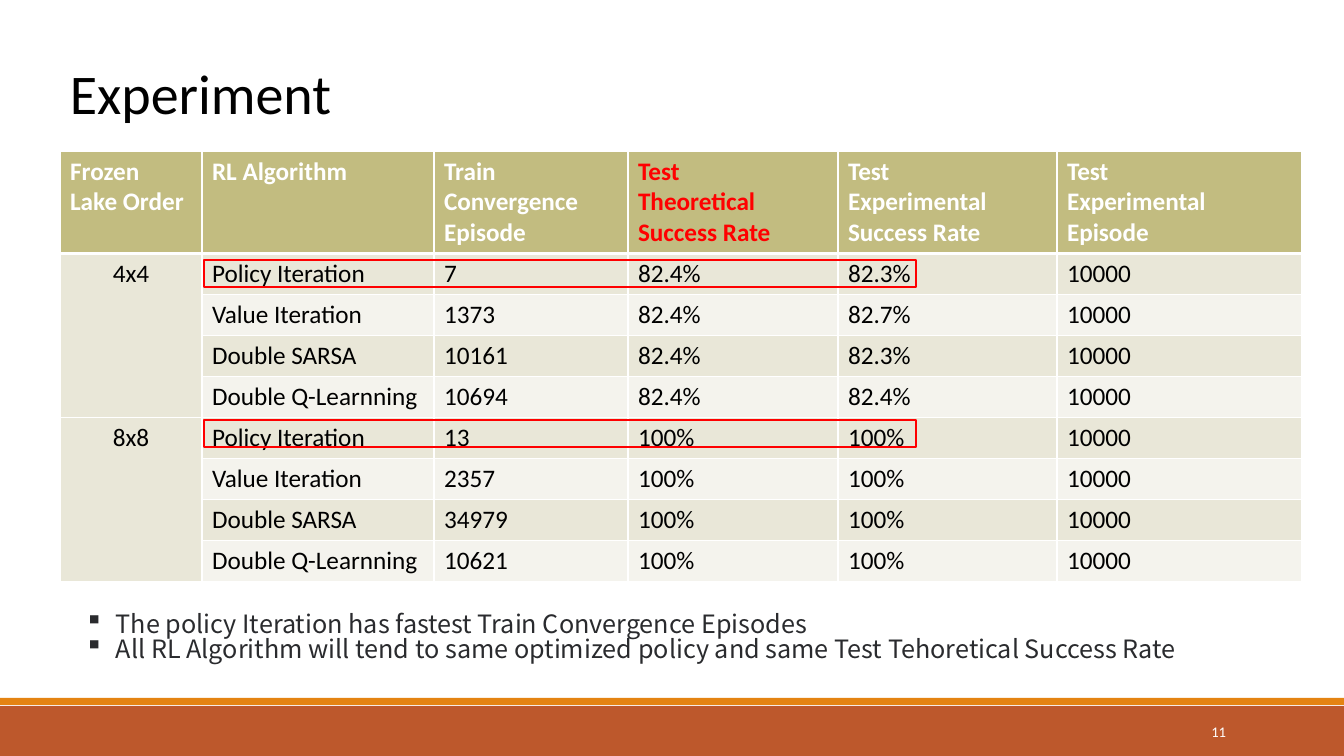
from dataclasses import dataclass

from lxml import etree
from pptx import Presentation
from pptx.dml.color import RGBColor
from pptx.enum.shapes import MSO_SHAPE
from pptx.enum.text import MSO_ANCHOR, PP_ALIGN
from pptx.oxml.ns import qn
from pptx.util import Emu, Pt

RECT = MSO_SHAPE.RECTANGLE
LEFT, CENTER, RIGHT = PP_ALIGN.LEFT, PP_ALIGN.CENTER, PP_ALIGN.RIGHT
TOP, MIDDLE = MSO_ANCHOR.TOP, MSO_ANCHOR.MIDDLE
EMU_PER_PX = 914400 / 100.8


def px(n):
    return Emu(round(n * EMU_PER_PX))


@dataclass(frozen=True)
class Theme:
    font: str = "Calibri"
    note_font: str = "Noto Sans CJK SC"
    title_size: float = 40
    body_size: float = 18
    number_size: float = 10.5
    black: str = "000000"
    white: str = "FFFFFF"
    note: str = "2A2B2E"
    red: str = "FF0000"
    footer: str = "BD582C"
    footer_edge: str = "E48312"
    header: str = "C2BC80"
    bands: tuple = ("E9E7D8", "F4F3ED")


class SlideBuilder:
    def __init__(self, slide, theme):
        self.shapes = slide.shapes
        self.theme = theme

    def add_lines(self, tf, lines, size, color, font=None, bold=False,
                  align=LEFT, bullet=None, spacing=None):
        """Fill a text frame with one paragraph per line."""
        for i, line in enumerate(lines):
            p = tf.paragraphs[0] if i == 0 else tf.add_paragraph()
            p.alignment = align
            if spacing:
                p.line_spacing = spacing
            if bullet:
                pPr = p._p.get_or_add_pPr()
                pPr.set("marL", str(px(31)))
                pPr.set("indent", str(-px(31)))
                etree.SubElement(pPr, qn("a:buChar"), char=bullet)
            r = p.add_run()
            r.text = line
            r.font.name = font or self.theme.font
            r.font.size = Pt(size)
            r.font.bold = bold
            r.font.color.rgb = RGBColor.from_string(color)

    def text(self, x, y, w, h, lines, size, color, anchor=TOP, **style):
        tf = self.shapes.add_textbox(px(x), px(y), px(w), px(h)).text_frame
        tf.word_wrap = True
        tf.vertical_anchor = anchor
        self.add_lines(tf, lines, size, color, **style)

    def rect(self, x, y, w, h, fill=None, line=None):
        sp = self.shapes.add_shape(RECT, px(x), px(y), px(w), px(h))
        sp.shadow.inherit = False
        if fill:
            sp.fill.solid()
            sp.fill.fore_color.rgb = RGBColor.from_string(fill)
        else:
            sp.fill.background()
        if line:
            sp.line.color.rgb = RGBColor.from_string(line)
            sp.line.width = Pt(1.25)
        else:
            sp.line.fill.background()

    def border(self, cell, bottom):
        """Draw white cell edges, with the bottom one of its own width."""
        tcPr = cell._tc.get_or_add_tcPr()
        for side, width in (("L", 1), ("R", 1), ("T", 1), ("B", bottom)):
            ln = etree.SubElement(tcPr, qn(f"a:ln{side}"), w=str(Pt(width)))
            fill = etree.SubElement(ln, qn("a:solidFill"))
            etree.SubElement(fill, qn("a:srgbClr"), val=self.theme.white)

    def cell(self, cell, lines, fill, color, bottom=1, **style):
        self.border(cell, bottom)
        cell.fill.solid()
        cell.fill.fore_color.rgb = RGBColor.from_string(fill)
        self.add_lines(cell.text_frame, lines, self.theme.body_size, color,
                       **style)

    def table(self, x, y, widths, header_h, row_h, headers, groups, marked):
        """Place a table whose first column spans each group of rows."""
        th = self.theme
        count = sum(len(rows) for rows in groups.values())
        table = self.shapes.add_table(
            count + 1, len(widths), px(x), px(y),
            px(sum(widths)), px(header_h + count * row_h)).table
        for column, width in zip(table.columns, widths):
            column.width = px(width)
        for i, row in enumerate(table.rows):
            row.height = px(row_h if i else header_h)
        for c, lines in enumerate(headers):
            self.cell(table.cell(0, c), lines, th.header,
                      th.red if c == marked else th.white, bottom=3, bold=True)
        top = 1
        for name, rows in groups.items():
            first = table.cell(top, 0)
            first.merge(table.cell(top + len(rows) - 1, 0))
            self.cell(first, [name], th.bands[0], th.black, align=CENTER)
            for i, values in enumerate(rows):
                for c, value in enumerate(values, 1):
                    self.cell(table.cell(top + i, c), [value],
                              th.bands[i % 2], th.black)
            top += len(rows)


HEADERS = [
    ["Frozen Lake Order"],
    ["RL Algorithm"],
    ["Train Convergence Episode"],
    ["Test", "Theoretical Success Rate"],
    ["Test", "Experimental", "Success Rate"],
    ["Test", "Experimental", "Episode"],
]
RESULTS = {
    "4x4": [
        ("Policy Iteration", "7", "82.4%", "82.3%", "10000"),
        ("Value Iteration", "1373", "82.4%", "82.7%", "10000"),
        ("Double SARSA", "10161", "82.4%", "82.3%", "10000"),
        ("Double Q-Learnning", "10694", "82.4%", "82.4%", "10000"),
    ],
    "8x8": [
        ("Policy Iteration", "13", "100%", "100%", "10000"),
        ("Value Iteration", "2357", "100%", "100%", "10000"),
        ("Double SARSA", "34979", "100%", "100%", "10000"),
        ("Double Q-Learnning", "10621", "100%", "100%", "10000"),
    ],
}
FINDINGS = [
    "The policy Iteration has fastest Train Convergence Episodes",
    "All RL Algorithm will tend to same optimized policy and same "
    "Test Tehoretical Success Rate",
]


def main():
    prs = Presentation()
    prs.slide_width, prs.slide_height = px(1344), px(756)
    th = Theme()
    s = SlideBuilder(prs.slides.add_slide(prs.slide_layouts[6]), th)

    s.rect(0, 706, 1344, 50, fill=th.footer)
    s.rect(0, 698, 1344, 7, fill=th.footer_edge)
    s.table(60, 151, (142, 232, 194, 210, 219, 245), 102, 41,
            HEADERS, RESULTS, marked=3)
    s.text(60, 54, 683, 78, ["Experiment"], th.title_size, th.black)
    s.text(1092, 712, 144, 40, ["11"], th.number_size, th.white,
           anchor=MIDDLE, align=RIGHT)
    s.text(75, 608, 1152, 71, FINDINGS, th.body_size, th.note,
           font=th.note_font, bullet="▪", spacing=0.83)
    for y in (260, 420):
        s.rect(204, y, 712, 27, line=th.red)

    prs.save("out.pptx")


if __name__ == "__main__":
    main()
